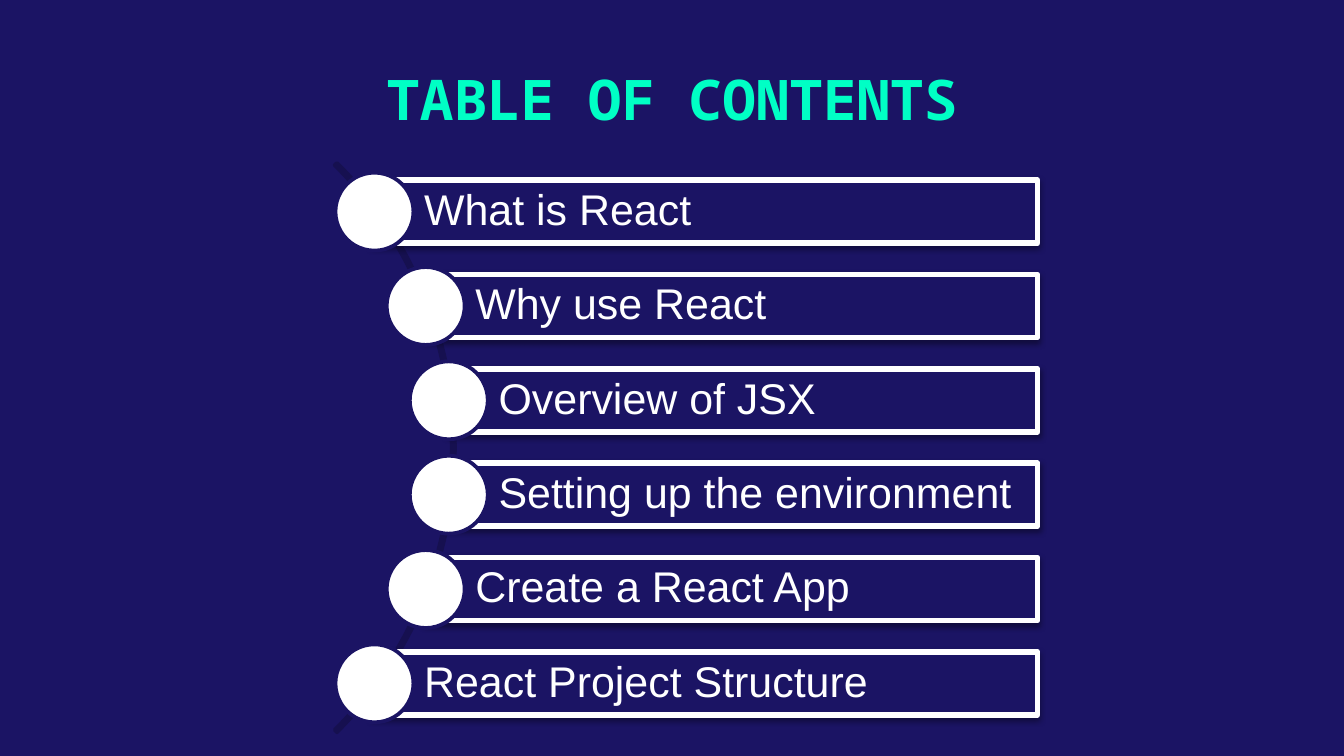
from math import sqrt

from lxml.etree import SubElement
from pptx import Presentation
from pptx.dml.color import RGBColor
from pptx.enum.shapes import MSO_SHAPE as SHAPE
from pptx.enum.text import MSO_ANCHOR as ANCHOR, PP_ALIGN as ALIGN
from pptx.oxml.ns import qn
from pptx.util import Inches, Pt

# Content
TITLE = "TABLE OF CONTENTS"
ITEMS = [
    "What is React",
    "Why use React",
    "Overview of JSX",
    "Setting up the environment",
    "Create a React App",
    "React Project Structure",
]

NAVY, ARC, WHITE, MINT = "1B1464", "161050", "FFFFFF", "00FFC5"

# Layout in inches: the circles sit on a curve around (CX, CY)
SLIDE_W = 10
SLIDE_H = SLIDE_W * 9 / 16
CX, CY, RADIUS = 0.39, 3.33, 2.97
ARC_SIZE = 5.99
SPAN = 3.51  # from the first row's middle to the last one's
BAR_RIGHT, BAR_H, DOT = 7.72, 0.47, 0.58


def rgb(color):
    return RGBColor.from_string(color)


def add_shape(kind, x, y, w, h, fill, line, width):
    sp = slide.shapes.add_shape(kind, Inches(x), Inches(y), Inches(w), Inches(h))
    sp.shadow.inherit = False
    if fill:
        sp.fill.solid()
        sp.fill.fore_color.rgb = rgb(fill)
    else:
        sp.fill.background()
    sp.line.color.rgb = rgb(line)
    sp.line.width = Pt(width)
    return sp


def set_text(sp, text, font, size, color, align, anchor, insets, bold=False):
    tf = sp.text_frame
    tf.text = text
    tf.word_wrap = True
    tf.vertical_anchor = anchor
    tf.margin_left, tf.margin_top, tf.margin_right, tf.margin_bottom = map(Inches, insets)
    p = tf.paragraphs[0]
    p.alignment = align
    f = p.runs[0].font
    f.name, f.size, f.bold = font, Pt(size), bold
    f.color.rgb = rgb(color)
    return p


def add_shadow(sp):
    effects = sp._element.spPr.find(qn("a:effectLst"))
    shadow = SubElement(effects, qn("a:outerShdw"), blurRad=str(Pt(3.1)),
                        dist=str(Pt(1.6)), dir="5400000", rotWithShape="0")
    color = SubElement(shadow, qn("a:srgbClr"), val="000000")
    SubElement(color, qn("a:alpha"), val="38000")


prs = Presentation()
prs.slide_width, prs.slide_height = Inches(SLIDE_W), Inches(SLIDE_H)
slide = prs.slides.add_slide(prs.slide_layouts[6])
slide.background.fill.solid()
slide.background.fill.fore_color.rgb = rgb(NAVY)

# Title
title = slide.shapes.add_textbox(Inches(1.4), Inches(0.38), Inches(7.2), Inches(0.73))
set_text(title, TITLE, "Noto Sans Mono", 30, MINT, ALIGN.CENTER, ANCHOR.TOP,
         [0.1] * 4, bold=True)

# Curve behind the list
arc = add_shape(SHAPE.BLOCK_ARC, CX - ARC_SIZE / 2, CY - ARC_SIZE / 2,
                ARC_SIZE, ARC_SIZE, None, ARC, 2)
for i, value in enumerate((189, 27, 0.004)):
    arc.adjustments[i] = value

# Bars with their circles
step = SPAN / (len(ITEMS) - 1)
for i, item in enumerate(ITEMS):
    dy = i * step - SPAN / 2
    x, y = CX + sqrt(RADIUS ** 2 - dy ** 2), CY + dy
    bar = add_shape(SHAPE.RECTANGLE, x, y - BAR_H / 2, BAR_RIGHT - x, BAR_H, NAVY, WHITE, 3)
    add_shadow(bar)
    p = set_text(bar, item, "Arial", 23, WHITE, ALIGN.LEFT, ANCHOR.MIDDLE,
                 (0.37, 0.06, 0.06, 0.06))
    p.line_spacing = 0.9
    add_shape(SHAPE.OVAL, x - DOT / 2, y - DOT / 2, DOT, DOT, WHITE, NAVY, 2)

prs.save("out.pptx")
